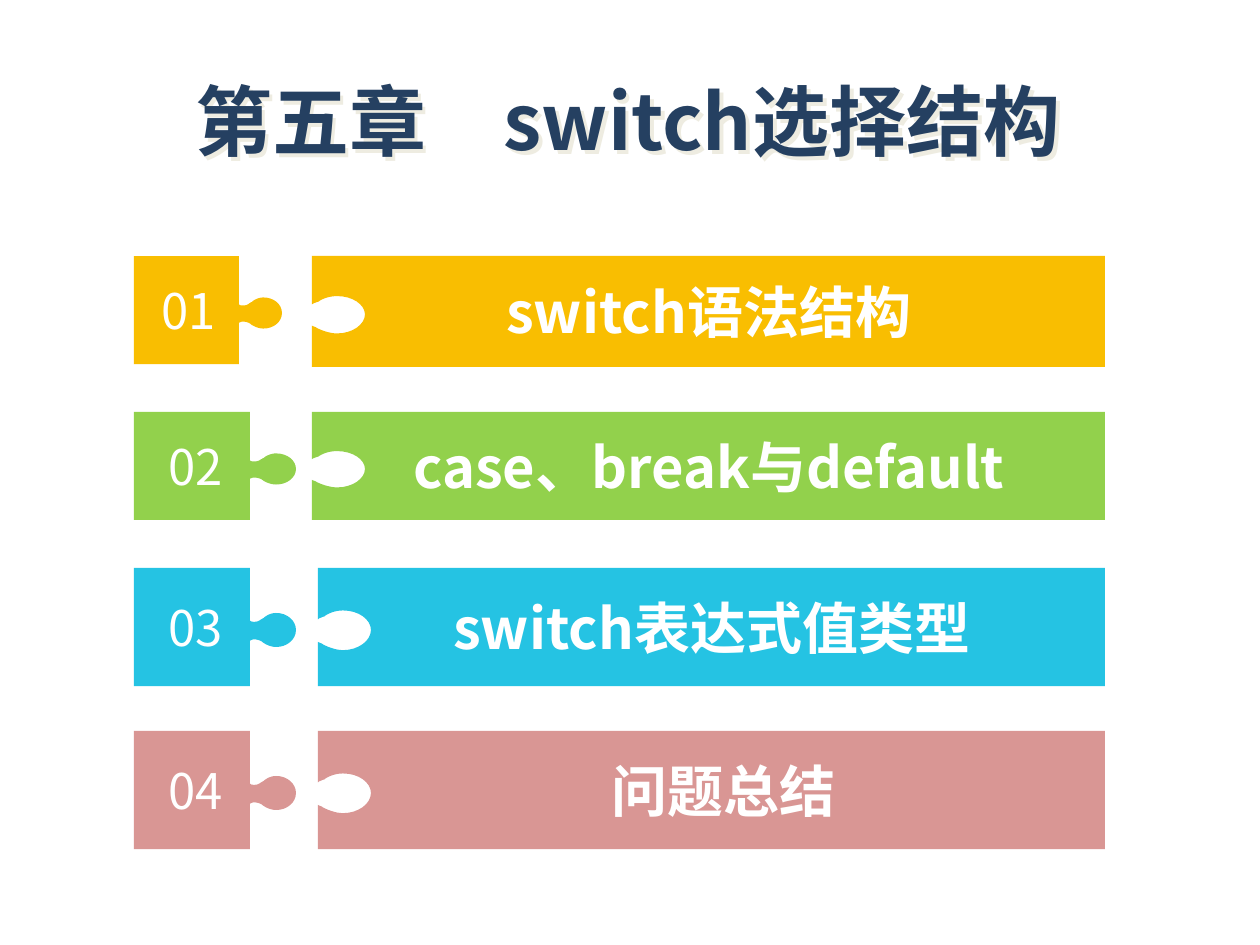
import pptx
import pptx.util
import pptx.dml.color
import pptx.enum.text
import pptx.oxml
import pptx.oxml.ns
import lxml.etree

UNIT = 914400 / 126
FONT = "Noto Sans CJK SC"
COLORS = {"navy": "254061", "shade": "EEECE1", "white": "FFFFFF",
          "gold": "F9BE01", "green": "92D14C", "blue": "25C3E3", "rose": "D99694"}
ALIGN = pptx.enum.text.PP_ALIGN
ANCHOR = pptx.enum.text.MSO_ANCHOR

# Outlines from the top to the bottom of the joint, in hundredths of an inch:
# a start point, then two handles and an end point for each curve.
KNOB = [(0, -7.5), (1, -6.5), (2, -6.5), (4, -6.5), (6, -6.5), (8, -7.5), (9, -8.5),
        (10, -8.5), (10, -9.5), (11, -9.5), (13, -11.5), (17, -13.5), (21, -13.5),
        (30, -13.5), (37, -7.5), (37, 0), (37, 7.5), (30, 13.5), (21, 13.5),
        (16, 13.5), (11, 10.5), (10, 9.5), (9, 8.5), (6, 7.5), (4, 7.5),
        (2, 7.5), (2, 7.5), (0, 8.5)]
NOTCH = [(0, -8.5), (1, -9.5), (2, -9.5), (4, -10.5), (4, -10.5), (5, -10.5), (6, -11.5),
         (9, -13.5), (14, -15.5), (20, -15.5), (32, -15.5), (42, -8.5), (42, 0),
         (42, 8.5), (32, 16), (20, 16), (13, 16), (6, 12.5), (4, 11.5),
         (3, 10.5), (2, 10.5), (0, 9.5)]


def emu(px):
    """Turn pixels into EMU."""
    return pptx.util.Emu(round(px * UNIT))


def rgb(name):
    """Look up a colour."""
    return pptx.dml.color.RGBColor.from_string(COLORS[name])


def trace(curve, x, mid, wide, tall):
    """Sample a joint outline of the given width, on a piece of the given height."""
    across = wide / max(p[0] for p in curve)
    down = 1.26 * tall / 118
    pts = [(x + a * across, mid + b * down) for a, b in curve]
    out = [pts[0]]
    for i in range(0, len(pts) - 1, 3):
        for step in range(1, 9):
            t = step / 8
            mix = ((1 - t) ** 3, 3 * t * (1 - t) ** 2, 3 * t * t * (1 - t), t ** 3)
            out.append(tuple(sum(m * p[k] for m, p in zip(mix, pts[i:i + 4]))
                             for k in (0, 1)))
    return out


def write(shape, text, size, color, bold):
    """Put one centred run into a shape."""
    para = shape.text_frame.paragraphs[0]
    para.alignment = ALIGN.CENTER
    run = para.add_run()
    run.text = text
    font = run.font
    font.size, font.bold, font.name = pptx.util.Pt(size), bold, FONT
    font.color.rgb = rgb(color)
    east = lxml.etree.SubElement(run._r.get_or_add_rPr(), pptx.oxml.ns.qn("a:ea"))
    east.set("typeface", FONT)


def piece(slide, pts, color):
    """Draw one flat puzzle piece through the points."""
    pts = [(emu(x), emu(y)) for x, y in pts]
    form = slide.shapes.build_freeform(*pts[0], scale=1.0)
    form.add_line_segments(pts[1:], close=True)
    shape = form.convert_to_shape()
    shape.shadow.inherit = False
    shape.fill.solid()
    shape.fill.fore_color.rgb = rgb(color)
    shape.line.fill.background()
    shape.text_frame.word_wrap = True
    shape.text_frame.vertical_anchor = ANCHOR.MIDDLE
    return shape


def tab(slide, box, knob, color, text):
    """Draw the numbered piece, with its knob on the right of the box."""
    x, y, w, h = box
    joint = trace(KNOB, x + w, y + h / 2 + 3, knob, h)
    shape = piece(slide, [(x, y), (x + w, y)] + joint + [(x + w, y + h), (x, y + h)], color)
    shape.text_frame.margin_left = 0
    shape.text_frame.margin_right = emu(39)
    write(shape, text, 28, "white", False)


def bar(slide, box, color, text, inset):
    """Draw the topic piece, with its notch in the left of the box."""
    x, y, w, h = box
    joint = trace(NOTCH, x, y + h / 2 + 3, 53, h)
    shape = piece(slide, [(x + w, y), (x, y)] + joint + [(x, y + h), (x + w, y + h)], color)
    shape.text_frame.margin_left = emu(inset)
    write(shape, text, 32, "white", True)


def head(slide, box, text):
    """Set the chapter title with a soft hard-edged shadow."""
    title = slide.shapes.title
    title.left, title.top, title.width, title.height = map(emu, box)
    title.text_frame.word_wrap = True
    title.text_frame.vertical_anchor = ANCHOR.MIDDLE
    write(title, text, 44, "navy", True)
    title._element.spPr.append(pptx.oxml.parse_xml(
        '<a:effectLst %s><a:outerShdw dist="38100" dir="2700000" algn="tl" rotWithShape="0">'
        '<a:srgbClr val="%s"/></a:outerShdw></a:effectLst>'
        % (pptx.oxml.ns.nsdecls("a"), COLORS["shade"])))


def agenda(slide, left, right, rows):
    """Stack the rows of puzzle pieces between two edges."""
    for i, (y, tall, high, w, knob, x, color, text, inset) in enumerate(rows, 1):
        tab(slide, (left, y, w, tall), knob, color, f"{i:02d}")
        bar(slide, (x, y, right - x, high), color, text, inset)


def main():
    """Build and save the slide."""
    deck = pptx.Presentation()
    deck.slide_width, deck.slide_height = emu(1260), emu(945)
    slide = deck.slides.add_slide(deck.slide_layouts[5])
    head(slide, (160, 65, 936, 110), "第五章\u3000switch选择结构")
    # top, tab height, bar height, tab width, knob width, bar left, colour, text, inset
    agenda(slide, 134, 1105, [
        (256, 108, 111, 105, 43, 312, "gold", "switch语法结构", 13),
        (412, 108, 108, 116, 46, 312, "green", "case、break与default", 13),
        (568, 118, 118, 116, 46, 318, "blue", "switch表达式值类型", 13),
        (731, 118, 118, 116, 46, 318, "rose", "问题总结", 37)])
    deck.save("out.pptx")


main()
